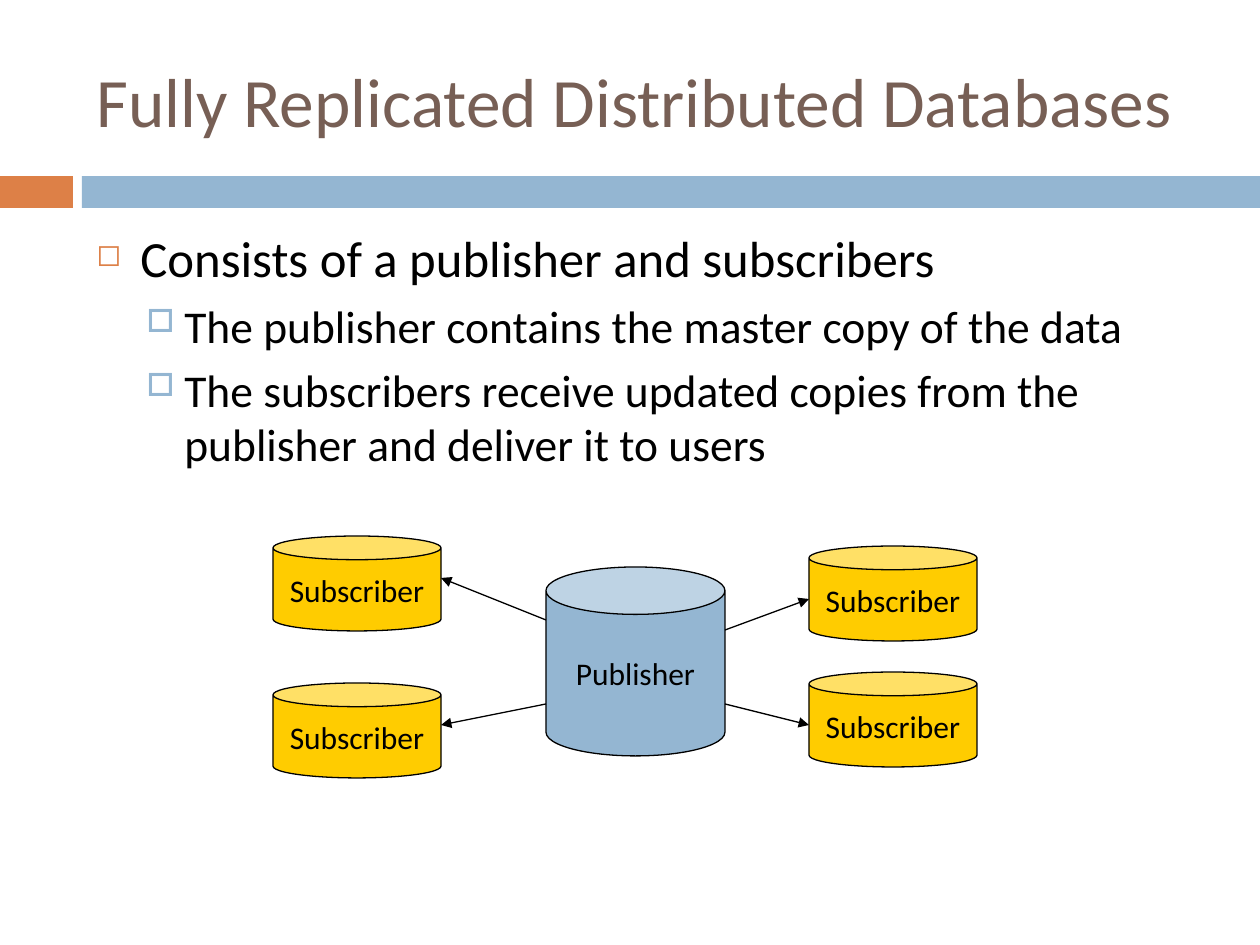
from lxml import etree
from pptx import Presentation
from pptx.dml.color import RGBColor
from pptx.enum.shapes import MSO_CONNECTOR, MSO_SHAPE
from pptx.enum.text import MSO_ANCHOR, PP_ALIGN
from pptx.oxml.ns import qn
from pptx.util import Pt

CAN, RECTANGLE = MSO_SHAPE.CAN, MSO_SHAPE.RECTANGLE
STRAIGHT = MSO_CONNECTOR.STRAIGHT
MIDDLE, TOP = MSO_ANCHOR.MIDDLE, MSO_ANCHOR.TOP
LEFT, CENTER = PP_ALIGN.LEFT, PP_ALIGN.CENTER

PX_PER_INCH = 126
FONT = "Calibri"
COLORS = {
    "orange": "DD8047",
    "blue": "94B6D2",
    "brown": "775F55",
    "yellow": "FFCC00",
    "black": "000000",
}
BULLETS = [
    {"char": "◻", "color": "orange", "percent": 60, "size": 29,
     "before": 7, "margin": 44, "hang": 44},
    {"char": "□", "color": "blue", "percent": 70, "size": 26,
     "before": 5.5, "margin": 88, "hang": 38},
]
POINTS = [
    (0, "Consists of a publisher and subscribers"),
    (1, "The publisher contains the master copy of the data"),
    (1, "The subscribers receive updated copies from the publisher "
        "and deliver it to users"),
]


def px(length):
    return round(length * 914400 / PX_PER_INCH)


def rgb(name):
    return RGBColor.from_string(COLORS[name])


def write(para, text, size, color="black", align=LEFT):
    para.alignment = align
    span = para.add_run()
    span.text = text
    span.font.name = FONT
    span.font.size = Pt(size)
    span.font.color.rgb = rgb(color)


def add_block(page, kind, box, fill, outline=None):
    shape = page.shapes.add_shape(kind, *map(px, box))
    shape.shadow.inherit = False
    shape.fill.solid()
    shape.fill.fore_color.rgb = rgb(fill)
    if outline:
        shape.line.color.rgb = rgb(outline)
        shape.line.width = Pt(0.75)
    else:
        shape.line.fill.background()
    return shape


def add_band(page, box):
    left, top, width, height = box
    tab, gap = 73, 9
    add_block(page, RECTANGLE, (left, top, tab, height), "orange")
    add_block(page, RECTANGLE,
              (left + tab + gap, top, width - tab - gap, height), "blue")


def add_title(page, box, text):
    title = page.shapes.title
    title.left, title.top, title.width, title.height = map(px, box)
    frame = title.text_frame
    frame.word_wrap = True
    frame.vertical_anchor = MIDDLE
    write(frame.paragraphs[0], text, 39.6, color="brown")


def set_bullet(para, style):
    props = para._p.get_or_add_pPr()
    props.set("marL", str(px(style["margin"])))
    props.set("indent", str(-px(style["hang"])))
    color = etree.SubElement(props, qn("a:buClr"))
    etree.SubElement(color, qn("a:srgbClr"), val=COLORS[style["color"]])
    etree.SubElement(props, qn("a:buSzPct"), val=str(style["percent"] * 1000))
    etree.SubElement(props, qn("a:buChar"), char=style["char"])


def add_points(page, box, points):
    frame = page.shapes.add_textbox(*map(px, box)).text_frame
    frame.word_wrap = True
    frame.vertical_anchor = TOP
    for index, (level, text) in enumerate(points):
        para = frame.add_paragraph() if index else frame.paragraphs[0]
        style = BULLETS[level]
        para.level = level
        para.space_before = Pt(style["before"])
        set_bullet(para, style)
        write(para, text, style["size"])


def add_database(page, box, text, fill, depth=0.25):
    can = add_block(page, CAN, box, fill, outline="black")
    can.adjustments[0] = depth
    frame = can.text_frame
    frame.word_wrap = False
    frame.vertical_anchor = MIDDLE
    write(frame.paragraphs[0], text, 18, align=CENTER)


def add_arrow(page, start, end):
    arrow = page.shapes.add_connector(STRAIGHT, *map(px, start + end))
    arrow.line.color.rgb = rgb("black")
    arrow.line.width = Pt(0.75)
    etree.SubElement(arrow.line._get_or_add_ln(), qn("a:tailEnd"),
                     type="triangle")
    etree.SubElement(arrow._element.spPr, qn("a:effectLst"))


def add_replication(page, box):
    left, top, width, height = box
    can_width, can_height = 168, 95
    hub_left, hub_width = left + 273, 179
    hub_right = hub_left + hub_width
    right_column = left + width - can_width
    add_database(page, (hub_left, top + 31, hub_width, 189),
                 "Publisher", "blue", depth=0.265)
    subscribers = [
        (right_column, 10, hub_right, 94, right_column, 63),
        (right_column, 136, hub_right, 168, right_column, 189),
        (left, 0, hub_left, 84, left + can_width, 42),
        (left, height - can_height, hub_left, 168, left + can_width, 189),
    ]
    for can_left, can_top, start_x, start_y, end_x, end_y in subscribers:
        add_database(page, (can_left, top + can_top, can_width, can_height),
                     "Subscriber", "yellow")
        add_arrow(page, (start_x, top + start_y), (end_x, top + end_y))


def main():
    deck = Presentation()
    deck.slide_width, deck.slide_height = px(1260), px(945)
    page = deck.slides.add_slide(deck.slide_layouts[5])
    add_band(page, (0, 176, 1260, 32))
    add_title(page, (84, 32, 1124, 136),
              "Fully Replicated Distributed Databases")
    add_points(page, (84, 221, 1124, 620), POINTS)
    add_replication(page, (273, 536, 704, 242))
    deck.save("out.pptx")


if __name__ == "__main__":
    main()
